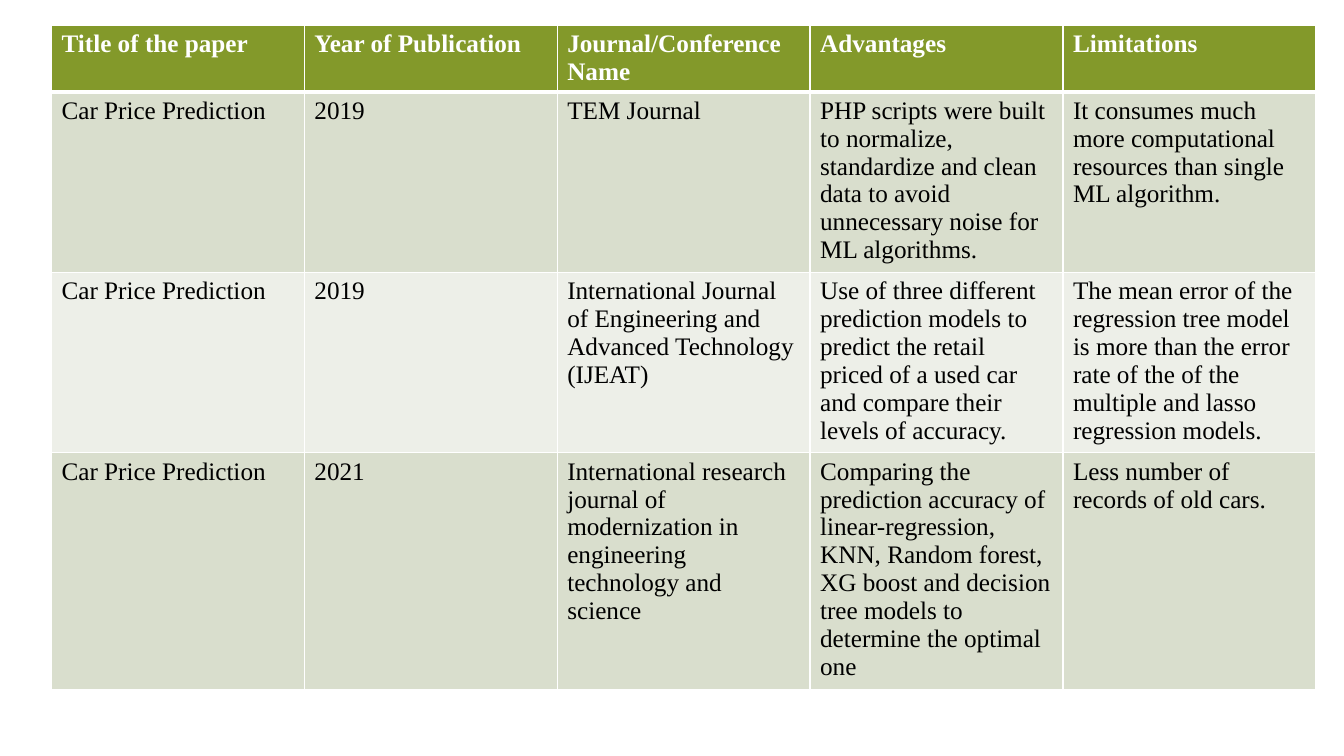
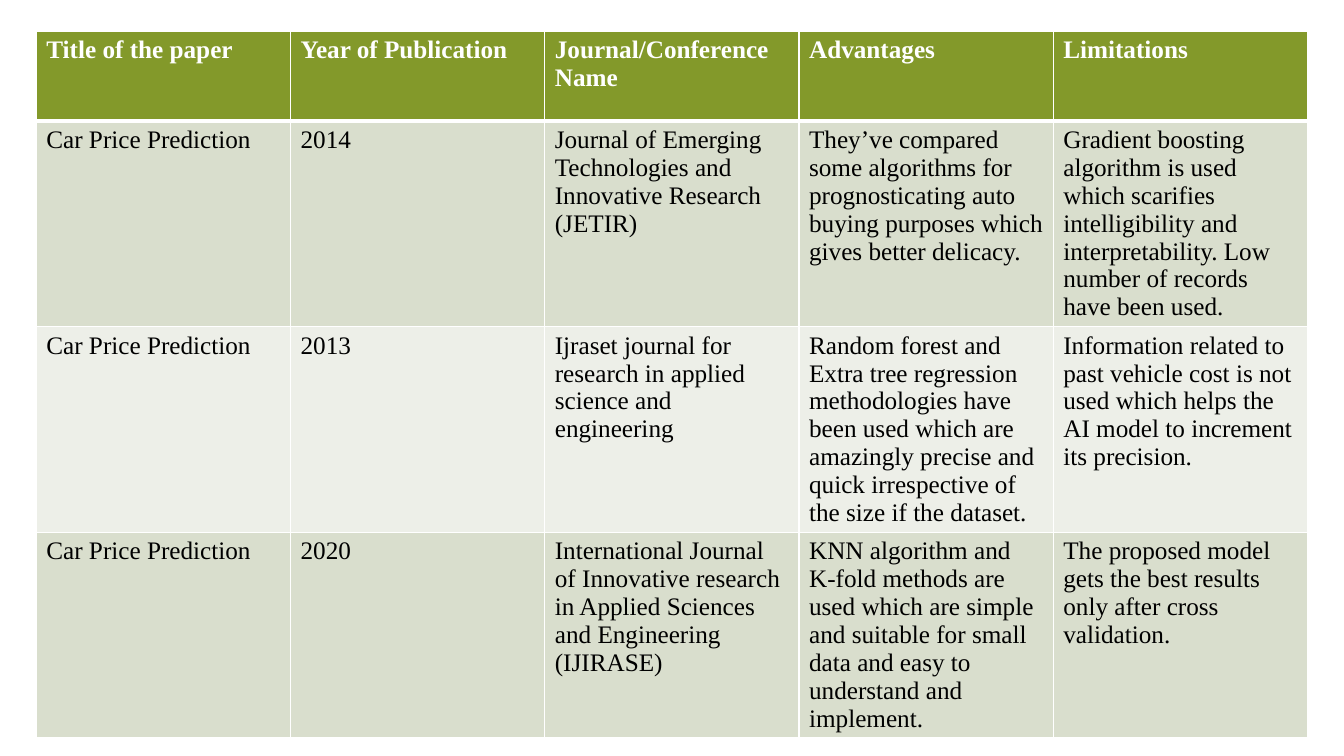
from lxml import etree
from pptx import Presentation
from pptx.dml.color import RGBColor
from pptx.enum.text import MSO_ANCHOR, PP_ALIGN
from pptx.oxml.ns import qn
from pptx.util import Inches, Pt

TOP = MSO_ANCHOR.TOP
LEFT = PP_ALIGN.LEFT
WHITE, BLACK, OLIVE = "FFFFFF", "000000", "83992A"
BANDS = ("D9DECD", "EDEFE8")
HEADINGS = ("Title of the paper", "Year of Publication",
            "Journal/Conference Name", "Advantages", "Limitations")
PAPER = "Car Price Prediction"

SURVEYS = (
    {
        "corner": (3.83, 3.33),
        "width": 94.07,
        "heights": (8.8, 23.87, 23.87, 31.33),
        "papers": (
            ("2019", "TEM Journal",
             "PHP scripts were built to normalize, standardize and clean data "
             "to avoid unnecessary noise for ML algorithms.",
             "It consumes much more computational resources than single "
             "ML algorithm."),
            ("2019",
             "International Journal of Engineering and Advanced Technology "
             "(IJEAT)",
             "Use of three different prediction models to predict the retail "
             "priced of a used car and compare their levels of accuracy.",
             "The mean error of the regression tree model is more than the "
             "error rate of the of the multiple and lasso regression models."),
            ("2021",
             "International research journal of modernization in engineering "
             "technology and science",
             "Comparing the prediction accuracy of linear-regression, KNN, "
             "Random forest, XG boost and decision tree models to determine "
             "the optimal one",
             "Less number of records of old cars."),
        ),
    },
    {
        "corner": (2.7, 4.13),
        "width": 94.6,
        "heights": (11.87, 27.2, 27.2, 27.2),
        "papers": (
            ("2014",
             "Journal of Emerging Technologies and Innovative Research (JETIR)",
             "They’ve compared some algorithms for prognosticating auto "
             "buying purposes which gives better delicacy.",
             "Gradient boosting algorithm is used which scarifies "
             "intelligibility and interpretability. Low number of records "
             "have been used."),
            ("2013",
             "Ijraset journal for research in applied science and engineering",
             "Random forest and Extra tree regression methodologies have been "
             "used which are amazingly precise and quick irrespective of the "
             "size if the dataset.",
             "Information related to past vehicle cost is not used which "
             "helps the AI model to increment its precision."),
            ("2020",
             "International Journal of Innovative research in Applied "
             "Sciences and Engineering (IJIRASE)",
             "KNN algorithm and K-fold methods are used which are simple and "
             "suitable for small data and easy to understand and implement.",
             "The proposed model gets the best results only after cross "
             "validation."),
        ),
    },
)


def colour(value):
    return RGBColor.from_string(value)


class SurveyDeck:
    text_format = {"name": "Times New Roman", "size": Pt(18)}
    thin, thick = 1, 3

    def __init__(self):
        self.deck = Presentation()
        self.deck.slide_width = Inches(13.33)
        self.deck.slide_height = Inches(7.5)
        self.page = None

    def across(self, percent):
        return round(self.deck.slide_width * percent / 100)

    def down(self, percent):
        return round(self.deck.slide_height * percent / 100)

    def add_page(self):
        self.page = self.deck.slides.add_slide(self.deck.slide_layouts[6])
        self.page.background.fill.solid()
        self.page.background.fill.fore_color.rgb = colour(WHITE)

    def add_borders(self, cell, top, bottom):
        properties = cell._tc.get_or_add_tcPr()
        widths = {"lnL": self.thin, "lnR": self.thin, "lnT": top, "lnB": bottom}
        for side, points in widths.items():
            line = etree.SubElement(properties, qn(f"a:{side}"), w=str(Pt(points)))
            fill = etree.SubElement(line, qn("a:solidFill"))
            etree.SubElement(fill, qn("a:srgbClr"), val=WHITE)

    def fill_cell(self, cell, text, row):
        heading = row == 0
        self.add_borders(cell, self.thick if row == 1 else self.thin,
                         self.thick if heading else self.thin)
        cell.fill.solid()
        cell.fill.fore_color.rgb = colour(OLIVE if heading else BANDS[(row - 1) % 2])
        cell.vertical_anchor = TOP
        para = cell.text_frame.paragraphs[0]
        para.alignment = LEFT
        span = para.add_run()
        span.text = text
        for name, value in {**self.text_format, "bold": heading}.items():
            setattr(span.font, name, value)
        span.font.color.rgb = colour(WHITE if heading else BLACK)

    def add_survey(self, corner, width, heights, papers):
        rows = [HEADINGS] + [(PAPER, *paper) for paper in papers]
        left, top = corner
        table = self.page.shapes.add_table(
            len(rows), len(HEADINGS), self.across(left), self.down(top),
            self.across(width), self.down(sum(heights))).table
        for column in table.columns:
            column.width = self.across(width / len(HEADINGS))
        for row, (texts, height) in enumerate(zip(rows, heights)):
            table.rows[row].height = self.down(height)
            for column, text in enumerate(texts):
                self.fill_cell(table.cell(row, column), text, row)


def main():
    survey_deck = SurveyDeck()
    for survey in SURVEYS:
        survey_deck.add_page()
        survey_deck.add_survey(**survey)
    survey_deck.deck.save("out.pptx")


if __name__ == "__main__":
    main()
